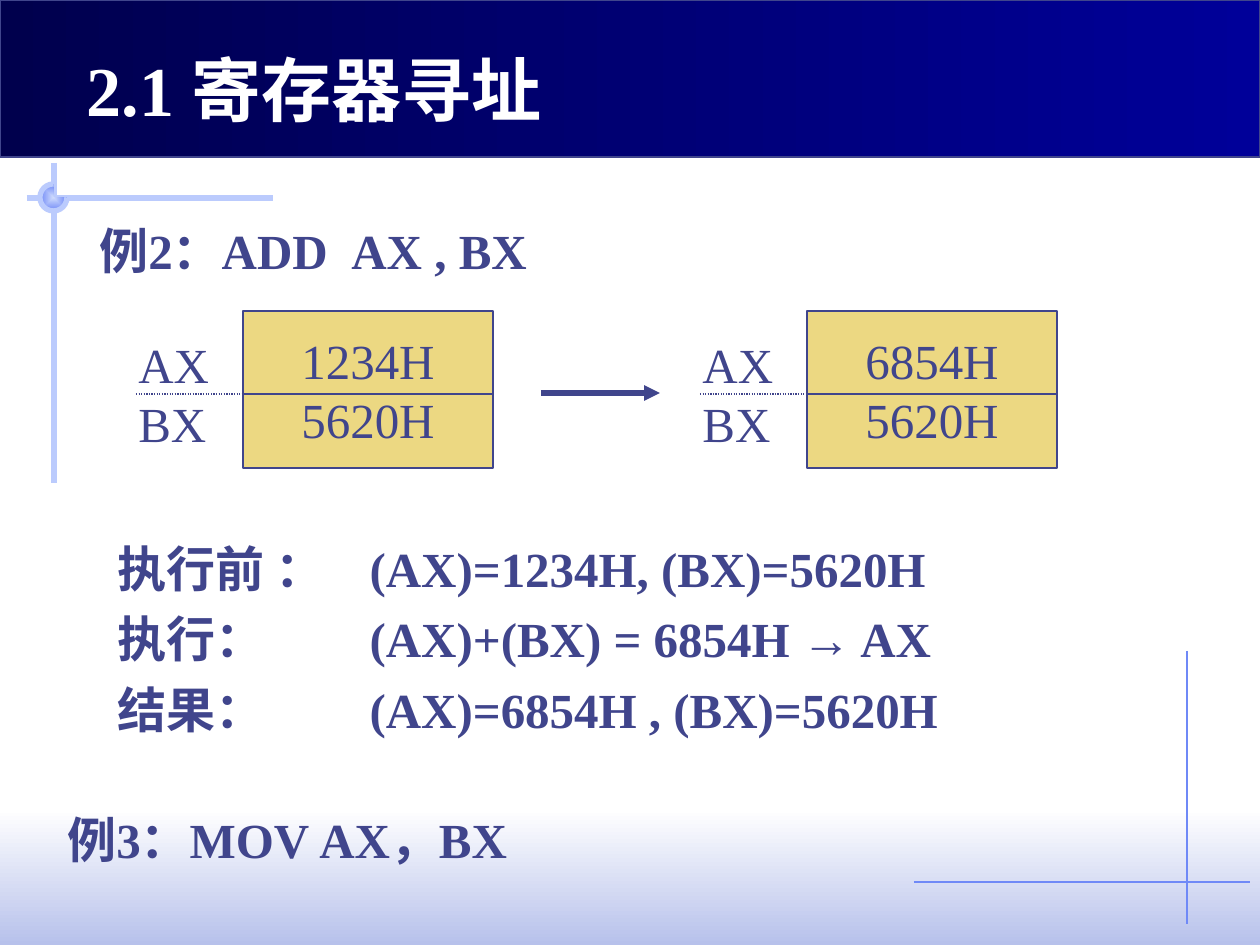
from dataclasses import dataclass

from lxml import etree
from pptx import Presentation
from pptx import util as u
from pptx.dml.color import RGBColor
from pptx.enum import dml, shapes, text
from pptx.oxml.ns import qn

PX = u.Inches(1) / 126  # one px in EMU


@dataclass(frozen=True)
class Theme:
    ink: str = "40458C"
    white: str = "FFFFFF"
    register: str = "ECD882"
    banner: tuple = ("00004D", "000099")
    footer: tuple = ("FFFFFF", "B7C1EB")
    ball: tuple = ("CFDBFD", "6F89F7")
    rail: str = "BBCBFD"
    hairline: str = "6F89F7"
    font: str = "Times New Roman"
    symbol_font: str = "Arial"
    title_size: int = 40
    body_size: int = 28


THEME = Theme()


def px(*lengths):
    return [u.Emu(round(length * PX)) for length in lengths]


def rgb(code):
    return RGBColor.from_string(code)


def add_block(parent, kind, box, fill=None, line=None, width=0.75):
    """Preset shape; a pair of colours as fill makes a gradient."""
    block = parent.shapes.add_shape(kind, *px(*box))
    block.shadow.inherit = False
    if fill is None:
        block.fill.background()
    elif isinstance(fill, tuple):
        block.fill.gradient()
        for stop, code in zip(block.fill.gradient_stops, fill):
            stop.color.rgb = rgb(code)
    else:
        block.fill.solid()
        block.fill.fore_color.rgb = rgb(fill)
    if line:
        block.line.color.rgb = rgb(line)
        block.line.width = u.Pt(width)
    else:
        block.line.fill.background()
    return block


def add_line(parent, start, end, color, width=0.75):
    line = parent.shapes.add_connector(
        shapes.MSO_CONNECTOR.STRAIGHT, *px(*start, *end))
    line.line.color.rgb = rgb(color)
    line.line.width = u.Pt(width)
    etree.SubElement(line._element.spPr, qn("a:effectLst"))
    return line


def place(box_shape, box):
    box_shape.left, box_shape.top, box_shape.width, box_shape.height = px(*box)


def write(box_shape, lines, color=THEME.ink, size=THEME.body_size, bold=False,
          align=text.PP_ALIGN.LEFT, anchor=text.MSO_ANCHOR.TOP, spacing=None):
    """Each line is a list of (words, font) runs or a plain string."""
    frame = box_shape.text_frame
    frame.word_wrap = True
    frame.auto_size = text.MSO_AUTO_SIZE.NONE
    frame.vertical_anchor = anchor
    for index, line in enumerate(lines):
        para = frame.paragraphs[0] if index == 0 else frame.add_paragraph()
        props = para._p.get_or_add_pPr()
        props.set("marL", "0")
        props.set("indent", "0")
        etree.SubElement(props, qn("a:buNone"))
        para.alignment = align
        para.space_before = u.Pt(0)
        if spacing:
            para.line_spacing = spacing
        runs = [(line, THEME.font)] if isinstance(line, str) else line
        for words, font in runs:
            span = para.add_run()
            span.text = words
            span.font.name = font
            span.font.size = u.Pt(size)
            span.font.bold = bold
            span.font.color.rgb = rgb(color)


def draw_backdrop(page, box):
    left, top, width, height = box
    rect = shapes.MSO_SHAPE.RECTANGLE
    # Footer glow and banner
    footer = add_block(page, rect, (left, top + 809, width, height - 809), THEME.footer)
    footer.fill.gradient_angle = 270
    banner = add_block(page, rect, (left, top, width, 157), THEME.banner, THEME.ink)
    banner.fill.gradient_angle = 0
    # Corner rails
    add_line(page, (left + 27, top + 198), (left + 273, top + 198), THEME.rail, 3)
    add_line(page, (left + 54, top + 163), (left + 54, top + 483), THEME.rail, 3)
    # Three-quarter ball where the rails cross
    ball_box = (left + 40, top + 184, 27, 27)
    ball = add_block(page, shapes.MSO_SHAPE.PIE, ball_box, THEME.ball)
    gradient = ball._element.spPr.find(qn("a:gradFill"))
    gradient.remove(gradient.find(qn("a:lin")))
    radial = etree.SubElement(gradient, qn("a:path"), path="rect")
    etree.SubElement(radial, qn("a:fillToRect"),
                     l="50000", t="50000", r="50000", b="50000")
    ring = add_block(page, shapes.MSO_SHAPE.ARC, ball_box, None, THEME.rail, 3)
    ring.adjustments[0], ring.adjustments[1] = 0, 162
    # Hairline cross at bottom right
    add_line(page, (left + 1187, top + 651), (left + 1187, top + 924), THEME.hairline)
    add_line(page, (left + 914, top + 882), (left + 1250, top + 882), THEME.hairline)


def draw_title(page, box, words):
    title = page.shapes.title
    page.shapes._spTree.append(title._element)  # bring above the banner
    place(title, box)
    write(title, [words], THEME.white, THEME.title_size, bold=True)


def draw_example(page, box, words):
    example = page.shapes.add_textbox(*px(*box))
    write(example, [words], bold=True)


def draw_registers(page, box, values):
    left, top, width, height = box
    group = page.shapes.add_group_shape()
    cell_left, middle = left + 107, top + 83
    # Register contents
    cell = add_block(group, shapes.MSO_SHAPE.RECTANGLE,
                     (cell_left, top, width - 107, height), THEME.register, THEME.ink)
    write(cell, values, align=text.PP_ALIGN.CENTER, anchor=text.MSO_ANCHOR.MIDDLE)
    # Register names
    names = group.shapes.add_textbox(*px(left - 10, top + 17, 96, 131))
    write(names, ["AX", "BX"])
    # Divider, dotted beside the names
    add_line(group, (cell_left, middle), (left + width, middle), THEME.ink)
    dotted = add_line(group, (left, middle), (cell_left, middle), THEME.ink)
    dotted.line.dash_style = dml.MSO_LINE.ROUND_DOT


def draw_arrow(page, start, end):
    arrow = add_line(page, start, end, THEME.ink, 3)
    etree.SubElement(arrow.line._get_or_add_ln(), qn("a:tailEnd"), type="triangle")


def draw_steps(page, box, steps):
    body = page.placeholders[1]
    page.shapes._spTree.append(body._element)
    place(body, box)
    write(body, steps, bold=True, spacing=1.2)


def main():
    deck = Presentation()
    deck.slide_width, deck.slide_height = px(1260, 945)
    page = deck.slides.add_slide(deck.slide_layouts[1])

    draw_backdrop(page, (0, 0, 1260, 945))
    draw_title(page, (74, 40, 506, 97), "2.1 寄存器寻址")
    draw_example(page, (87, 214, 550, 72), "例2：ADD\tAX , BX")
    draw_registers(page, (136, 311, 357, 157), ["1234H", "5620H"])
    draw_arrow(page, (541, 393), (660, 393))
    draw_registers(page, (700, 311, 357, 157), ["6854H", "5620H"])
    # Short labels take a second tab to reach the shared column
    draw_steps(page, (105, 520, 880, 224), [
        "执行前 ：\t(AX)=1234H, (BX)=5620H",
        [("执行：\t\t(AX)+(BX) = 6854H ", THEME.font),
         ("→", THEME.symbol_font), (" AX", THEME.font)],
        "结果：\t\t(AX)=6854H , (BX)=5620H",
    ])
    draw_example(page, (55, 803, 570, 72), "例3：MOV\tAX，BX")
    deck.save("out.pptx")


if __name__ == "__main__":
    main()
